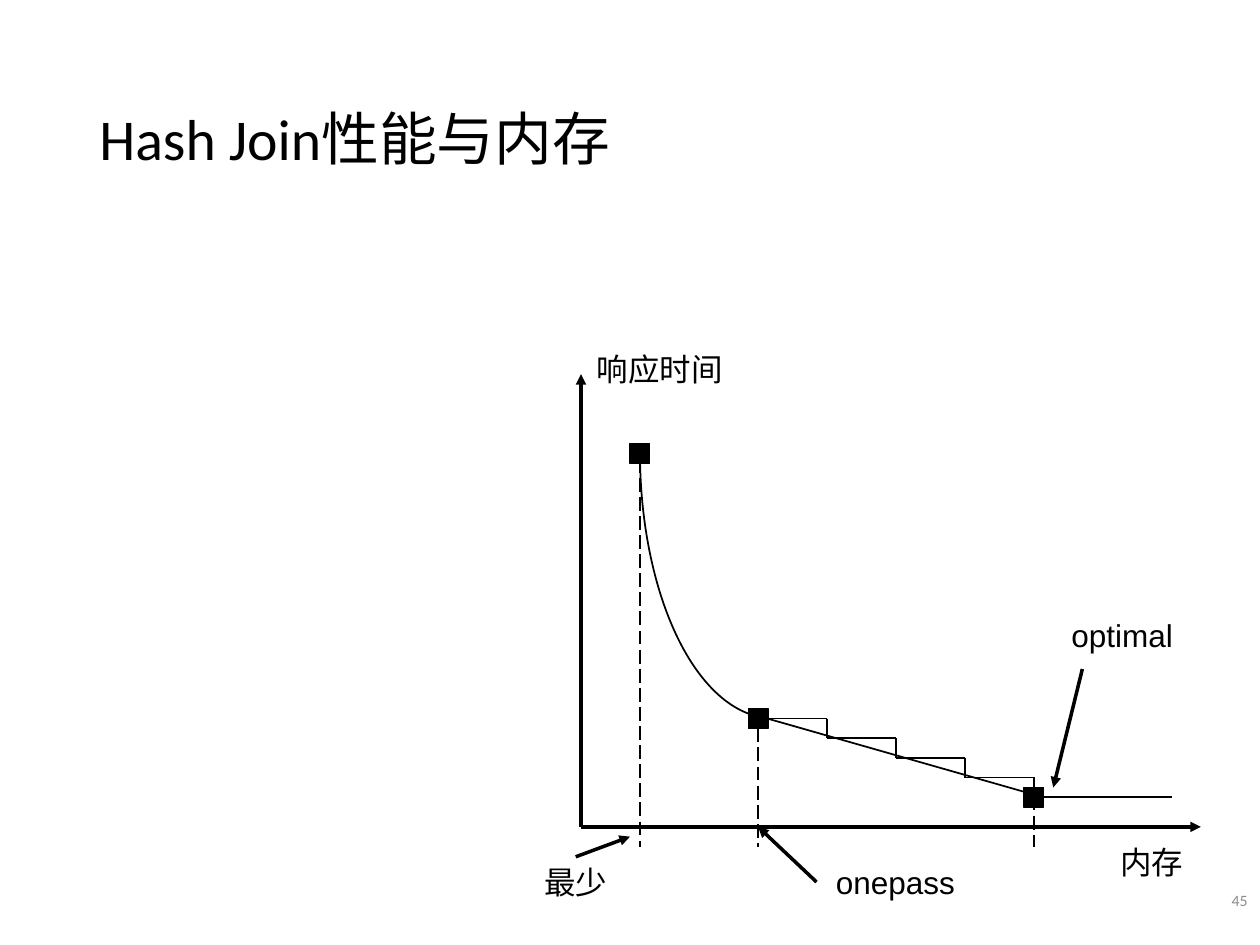
from dataclasses import dataclass
from typing import Any

import pptx
import pptx.dml.color
import pptx.enum.dml
import pptx.enum.shapes
import pptx.enum.text
import pptx.oxml
import pptx.oxml.ns
import pptx.util

Pt = pptx.util.Pt
Align = pptx.enum.text.PP_ALIGN
Anchor = pptx.enum.text.MSO_ANCHOR
Preset = pptx.enum.shapes.MSO_SHAPE
Dash = pptx.enum.dml.MSO_LINE
Point = tuple[float, float]


@dataclass(frozen=True)
class Theme:
    ink: str = "000000"
    muted: str = "8C8C8C"
    title_font: str = "Calibri"
    label_font: str = "Arial"
    title_size: float = 33
    label_size: float = 18
    number_size: float = 9
    thin: float = 1
    thick: float = 2
    marker_line: float = 0.75


THEME = Theme()


@dataclass(frozen=True)
class Label:
    text: str
    left: float
    top: float
    width: float
    height: float = 28.8
    size: float = THEME.label_size
    font: str = THEME.label_font
    color: str = THEME.ink
    align: Any = Align.CENTER
    anchor: Any = Anchor.TOP
    spacing: float = 1.0


@dataclass(frozen=True)
class Segment:
    start: Point
    end: Point
    width: float = THEME.thin
    dash: Any = None
    arrow: bool = False


def apply_format(target: Any, values: dict[str, Any]) -> None:
    for name, value in values.items():
        setattr(target, name, value)


def color_of(value: str) -> pptx.dml.color.RGBColor:
    return pptx.dml.color.RGBColor.from_string(value)


def format_line(line: Any, width: float) -> None:
    line.fill.solid()
    line.fill.fore_color.rgb = color_of(THEME.ink)
    line.width = Pt(width)


def draw_label(slide: Any, label: Label) -> None:
    shape = slide.shapes.add_textbox(
        Pt(label.left), Pt(label.top), Pt(label.width), Pt(label.height)
    )
    frame = shape.text_frame
    apply_format(frame, {"word_wrap": True, "vertical_anchor": label.anchor})
    paragraph = frame.paragraphs[0]
    apply_format(paragraph, {"alignment": label.align, "line_spacing": label.spacing})
    run = paragraph.add_run()
    run.text = label.text
    apply_format(run.font, {"name": label.font, "size": Pt(label.size)})
    run.font.color.rgb = color_of(label.color)


def draw_segment(slide: Any, segment: Segment) -> None:
    connector = slide.shapes.add_connector(
        pptx.enum.shapes.MSO_CONNECTOR.STRAIGHT,
        *(Pt(value) for value in segment.start + segment.end),
    )
    format_line(connector.line, segment.width)
    if segment.dash is not None:
        connector.line.dash_style = segment.dash
    if segment.arrow:
        arrowhead = pptx.oxml.parse_xml(
            f'<a:tailEnd {pptx.oxml.ns.nsdecls("a")} type="triangle"/>'
        )
        connector.line._get_or_add_ln().append(arrowhead)
    effects = pptx.oxml.parse_xml(f'<a:effectLst {pptx.oxml.ns.nsdecls("a")}/>')
    connector._element.spPr.append(effects)


def draw_marker(slide: Any, center: Point, side: float = 11.3) -> None:
    shape = slide.shapes.add_shape(
        Preset.RECTANGLE,
        Pt(center[0] - side / 2), Pt(center[1] - side / 2), Pt(side), Pt(side),
    )
    shape.shadow.inherit = False
    shape.fill.solid()
    shape.fill.fore_color.rgb = color_of(THEME.ink)
    format_line(shape.line, THEME.marker_line)


def draw_curve(slide: Any) -> None:
    shape = slide.shapes.add_shape(
        Preset.ARC, Pt(365.7), Pt(106.6), Pt(151.9), Pt(303.8)
    )
    shape.shadow.inherit = False
    shape.fill.background()
    format_line(shape.line, THEME.thin)
    for index, degrees in enumerate((93.24, 181.8)):
        shape.adjustments[index] = degrees * 0.6


def stair_segments(start: Point, end: Point, steps: int) -> list[Segment]:
    run, drop = (end[0] - start[0]) / steps, (end[1] - start[1]) / steps
    segments = []
    for step in range(steps):
        left, top = start[0] + step * run, start[1] + step * drop
        corner = (left + run, top)
        segments += [
            Segment((left, top), corner),
            Segment(corner, (left + run, top + drop)),
        ]
    return segments


MINIMUM: Point = (365.7, 259.1)
ONE_PASS: Point = (433.2, 410.6)
OPTIMAL: Point = (590.7, 455.6)
ORIGIN: Point = (332, 472.5)
GUIDE_END = 483.8

LABELS = [
    Label("Hash Join性能与内存", 49.7, 28.8, 620.6, 104.4, THEME.title_size,
          THEME.title_font, align=Align.LEFT, anchor=Anchor.MIDDLE, spacing=0.9),
    Label("45", 552.2, 504, 167.8, 20.9, THEME.number_size, THEME.title_font,
          THEME.muted, Align.RIGHT, Anchor.MIDDLE),
    Label("最少", 270, 489.6, 118.1),
    Label("内存", 630, 478.1, 56.2),
    Label("响应时间", 332, 196.6, 90),
    Label("optimal", 596.2, 348.5, 90),
    Label("onepass", 466.6, 489.6, 90),
]

AXES_AND_POINTERS = [
    Segment(start, end, THEME.thick, arrow=True)
    for start, end in (
        (ORIGIN, (686.2, ORIGIN[1])),
        (ORIGIN, (ORIGIN[0], 213.8)),
        ((618.5, 382.3), (601.9, 450)),
        ((466.6, 504), (ONE_PASS[0], ORIGIN[1])),
        ((329, 489.6), (360, 478.1)),
    )
]

GUIDES = [
    Segment((x, top), (x, GUIDE_END), dash=Dash.LONG_DASH)
    for x, top in ((MINIMUM[0], 262.1), (ONE_PASS[0], 416.2), (OPTIMAL[0], 444.3))
]

TRENDS = [
    Segment((596.2, OPTIMAL[1]), (438.5, ONE_PASS[1])),
    Segment(OPTIMAL, (669.6, OPTIMAL[1])),
]


def main() -> None:
    presentation = pptx.Presentation()
    apply_format(presentation, {"slide_width": Pt(720), "slide_height": Pt(540)})
    slide = presentation.slides.add_slide(presentation.slide_layouts[6])
    draw_curve(slide)
    for segment in AXES_AND_POINTERS + GUIDES + TRENDS + stair_segments(
        ONE_PASS, OPTIMAL, 4
    ):
        draw_segment(slide, segment)
    for center in (MINIMUM, ONE_PASS, OPTIMAL):
        draw_marker(slide, center)
    for label in LABELS:
        draw_label(slide, label)
    presentation.save("out.pptx")


main()
